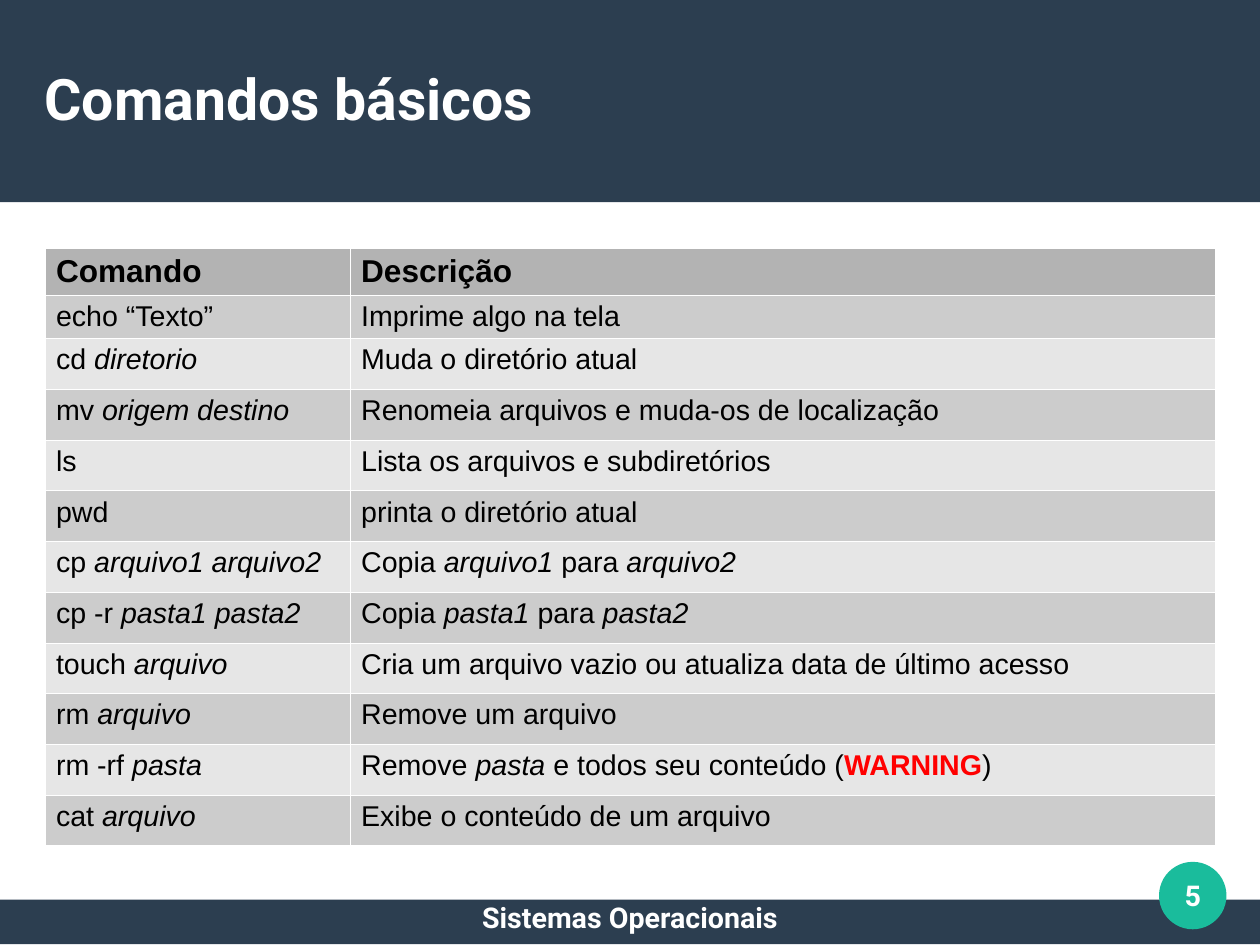
from dataclasses import dataclass

from lxml.etree import SubElement
from pptx import Presentation
from pptx.dml.color import RGBColor as RGB
from pptx.enum.shapes import MSO_SHAPE as Shape
from pptx.enum.text import MSO_ANCHOR as Anchor, PP_ALIGN as Align
from pptx.oxml.ns import qn
from pptx.util import Inches, Pt


@dataclass(frozen=True)
class Theme:
    navy: str = "2C3E50"
    green: str = "1ABC9C"
    white: str = "FFFFFF"
    black: str = "000000"
    red: str = "FF0000"
    header: str = "B3B3B3"
    bands: tuple = ("CCCCCC", "E6E6E6")
    heading_font: str = "Roboto"
    table_font: str = "Arial"
    title_size: float = 36
    header_size: float = 19.9
    text_size: float = 18
    border: float = 0.06


THEME = Theme()
CM_PER_INCH = 2.54
WIDTH, HEIGHT = 28 / CM_PER_INCH, 21 / CM_PER_INCH
TABLE_HEIGHT = 5.23
COLUMNS = (2.67, 7.57)
TOP_ROWS = (0.41, 0.38)
ITALIC, WARNING = "*", "!"
COMMANDS = (
    ("Comando", "Descrição"),
    ("echo “Texto”", "Imprime algo na tela"),
    ("cd *diretorio*", "Muda o diretório atual"),
    ("mv *origem destino*", "Renomeia arquivos e muda-os de localização"),
    ("ls", "Lista os arquivos e subdiretórios"),
    ("pwd", "printa o diretório atual"),
    ("cp *arquivo1 arquivo2*", "Copia *arquivo1* para *arquivo2*"),
    ("cp -r *pasta1 pasta2*", "Copia *pasta1* para *pasta2*"),
    ("touch *arquivo*", "Cria um arquivo vazio ou atualiza data de último acesso"),
    ("rm *arquivo*", "Remove um arquivo"),
    ("rm -rf *pasta*", "Remove *pasta* e todos seu conteúdo (!WARNING!)"),
    ("cat *arquivo*", "Exibe o conteúdo de um arquivo"),
)


def add_run(p, text, font, size, color, bold=False, italic=False):
    r = p.add_run()
    r.text = text
    r.font.name = font
    r.font.size = Pt(size)
    r.font.color.rgb = RGB.from_string(color)
    r.font.bold = bold
    r.font.italic = italic


def set_heading(sp, text, size, align, anchor):
    tf = sp.text_frame
    tf.word_wrap = True
    tf.vertical_anchor = anchor
    tf.margin_left = tf.margin_right = tf.margin_top = tf.margin_bottom = 0
    p = tf.paragraphs[0]
    p.alignment = align
    add_run(p, text, THEME.heading_font, size, THEME.white, bold=True)


def add_block(s, kind, left, top, width, height, color):
    sp = s.shapes.add_shape(kind, Inches(left), Inches(top), Inches(width), Inches(height))
    sp.shadow.inherit = False
    sp.fill.solid()
    sp.fill.fore_color.rgb = RGB.from_string(color)
    sp.line.fill.background()
    return sp


def add_title(s, text):
    add_block(s, Shape.RECTANGLE, 0, 0, WIDTH, 1.77, THEME.navy)
    title = s.shapes.title
    title.left, title.top = Inches(0.39), Inches(0.33)
    title.width, title.height = Inches(10.24), Inches(1.05)
    set_heading(title, text, THEME.title_size, Align.LEFT, Anchor.MIDDLE)
    s.shapes._spTree.append(title._element)


def add_footer(s, text, number):
    band = add_block(s, Shape.RECTANGLE, 0, 7.87, WIDTH, 0.39, THEME.navy)
    set_heading(band, text, THEME.text_size, Align.CENTER, Anchor.TOP)
    badge = add_block(s, Shape.OVAL, 10.14, 7.54, 0.59, 0.59, THEME.green)
    set_heading(badge, number, THEME.text_size, Align.CENTER, Anchor.MIDDLE)


def set_borders(cell):
    tc_pr = cell._tc.get_or_add_tcPr()
    for i, side in enumerate(("lnL", "lnR", "lnT", "lnB")):
        ln = SubElement(tc_pr, qn(f"a:{side}"), w=str(Pt(THEME.border)))
        SubElement(SubElement(ln, qn("a:solidFill")), qn("a:srgbClr"), val=THEME.white)
        tc_pr.insert(i, ln)


def write_cell(cell, text, header):
    p = cell.text_frame.paragraphs[0]
    size = THEME.header_size if header else THEME.text_size
    for i, part in enumerate(text.split(ITALIC)):
        for j, piece in enumerate(part.split(WARNING)):
            if piece:
                warning = j % 2 == 1
                color = THEME.red if warning else THEME.black
                add_run(p, piece, THEME.table_font, size, color, header or warning, i % 2 == 1)


def add_command_table(s, rows):
    frame = s.shapes.add_table(len(rows), len(COLUMNS), Inches(0.39), Inches(2.17),
                               Inches(sum(COLUMNS)), Inches(TABLE_HEIGHT))
    table = frame.table
    for column, width in zip(table.columns, COLUMNS):
        column.width = Inches(width)
    remaining = len(rows) - len(TOP_ROWS)
    heights = TOP_ROWS + ((TABLE_HEIGHT - sum(TOP_ROWS)) / remaining,) * remaining
    for i, (row, height, texts) in enumerate(zip(table.rows, heights, rows)):
        row.height = Inches(height)
        fill = THEME.bands[(i - 1) % 2] if i else THEME.header
        for cell, text in zip(row.cells, texts):
            cell.margin_left = cell.margin_right = Inches(0.1)
            cell.margin_top = cell.margin_bottom = Inches(0.05)
            cell.fill.solid()
            cell.fill.fore_color.rgb = RGB.from_string(fill)
            set_borders(cell)
            write_cell(cell, text, header=i == 0)


def main():
    prs = Presentation()
    prs.slide_width, prs.slide_height = Inches(WIDTH), Inches(HEIGHT)
    s = prs.slides.add_slide(prs.slide_layouts[5])
    add_title(s, "Comandos básicos")
    add_command_table(s, COMMANDS)
    add_footer(s, "Sistemas Operacionais", "5")
    prs.save("out.pptx")


if __name__ == "__main__":
    main()
